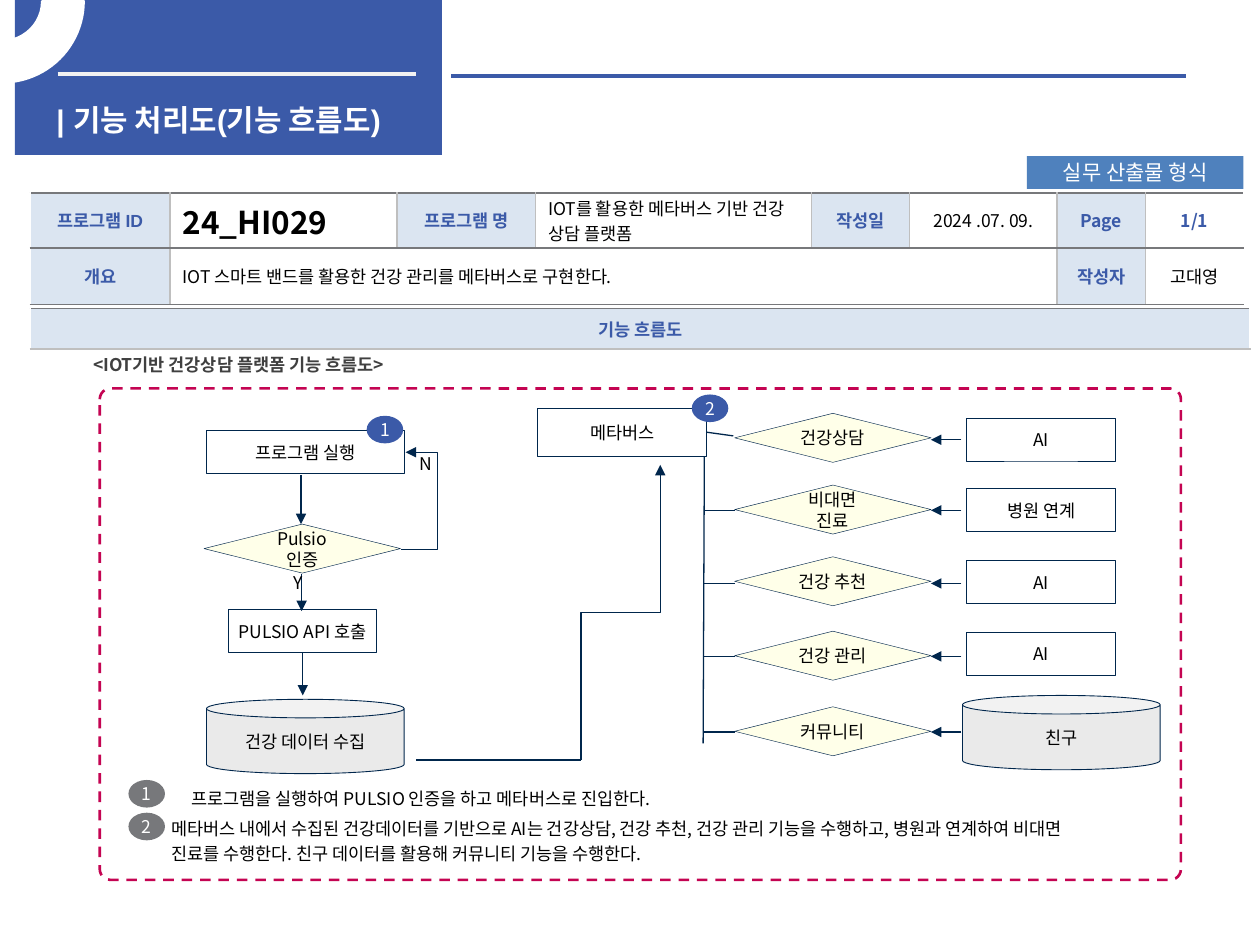
from lxml import etree
from pptx import Presentation
from pptx.dml.color import RGBColor
from pptx.enum import dml, shapes, text
from pptx.oxml import ns
from pptx.util import Pt

COLORS = {
    "blue": "3B5AA8", "tag": "4F81BD", "pale": "B9CDE5", "white": "FFFFFF",
    "rule": "F2F2F2", "navy": "00264C", "cream": "FFFFE9", "can": "EAEAEA",
    "grey": "77787B", "light": "BFBFBF", "dash": "C40452", "black": "000000",
    "caption": "404040",
}
FONT = "Noto Sans CJK KR"
SHAPE = shapes.MSO_SHAPE
LEFT, CENTER = text.PP_ALIGN.LEFT, text.PP_ALIGN.CENTER


def rgb(name):
    return RGBColor.from_string(COLORS[name])


def add_xml(parent, tag, **attributes):
    return etree.SubElement(parent, ns.qn(tag), attributes)


def write(frame, words, size=10, color="black", bold=False, align=CENTER, font=FONT, spacing=None):
    para = frame.paragraphs[0]
    para.alignment = align
    if spacing:
        para.line_spacing = spacing
    span = para.add_run()
    span.text = words
    span.font.size, span.font.bold, span.font.name = Pt(size), bold, font
    span.font.color.rgb = rgb(color)
    add_xml(span.font._element, "a:ea", typeface=FONT)


def add_text(page, box, words, wrap=True, **style):
    frame = page.shapes.add_textbox(*map(Pt, box)).text_frame
    frame.word_wrap = wrap
    write(frame, words, **style)


def add_node(page, kind, box, words=None, fill=None, line=None, width=0.5, inset=3, wrap=True, **style):
    node = page.shapes.add_shape(kind, *map(Pt, box))
    node.shadow.inherit = False
    if fill:
        node.fill.solid()
        node.fill.fore_color.rgb = rgb(fill)
    else:
        node.fill.background()
    if line:
        node.line.color.rgb = rgb(line)
        node.line.width = Pt(width)
    else:
        node.line.fill.background()
    if words:
        frame = node.text_frame
        frame.word_wrap = wrap
        frame.vertical_anchor = text.MSO_ANCHOR.MIDDLE
        frame.margin_left = frame.margin_right = Pt(inset)
        frame.margin_top = frame.margin_bottom = Pt(min(inset, 3.6))
        write(frame, words, **style)
    return node


def add_line(page, start, end, color="navy", width=0.75, arrow=False, kind=shapes.MSO_CONNECTOR.STRAIGHT):
    line = page.shapes.add_connector(kind, *map(Pt, start + end))
    line.line.color.rgb = rgb(color)
    line.line.width = Pt(width)
    if arrow:
        add_xml(line.line._get_or_add_ln(), "a:tailEnd", type="triangle")
    add_xml(line._element.spPr, "a:effectLst")
    return line


def add_loop(page, start, end, reach):
    """Elbow arrow that swings out to the right by reach before it returns."""
    loop = add_line(page, start, end, arrow=True, kind=shapes.MSO_CONNECTOR.ELBOW)
    guides = loop._element.spPr.find(ns.qn("a:prstGeom")).get_or_add_avLst()
    ratio = round(reach / (end[0] - start[0]) * 100000)
    add_xml(guides, "a:gd", name="adj1", fmla=f"val {ratio}")


def add_riser(page, start, end):
    """Elbow arrow that leaves and arrives upright: a flat elbow turned by 90 degrees."""
    middle_x, middle_y = (start[0] + end[0]) / 2, (start[1] + end[1]) / 2
    half_width, half_height = (start[1] - end[1]) / 2, (end[0] - start[0]) / 2
    riser = add_line(page, (middle_x + half_width, middle_y + half_height),
                     (middle_x - half_width, middle_y - half_height),
                     arrow=True, kind=shapes.MSO_CONNECTOR.ELBOW)
    riser._element.spPr.find(ns.qn("a:xfrm")).set("rot", "5400000")


def add_badge(page, left, top, number, fill="blue"):
    add_node(page, SHAPE.OVAL, (left, top, 20.9, 15.8), number, fill=fill,
             inset=4.3, wrap=False, color="white")


def style_cell(cell, borders, tinted=False):
    """Set fill and borders, given as left, right, top and bottom colours."""
    cell.vertical_anchor = text.MSO_ANCHOR.MIDDLE
    cell.margin_top = cell.margin_bottom = Pt(0.9)
    if tinted:
        cell.fill.solid()
        cell.fill.fore_color.rgb = rgb("pale")
        add_xml(cell._tc.tcPr.find(".//" + ns.qn("a:srgbClr")), "a:alpha", val="50000")
    else:
        cell.fill.background()
    for place, (side, color) in enumerate(zip("LRTB", borders)):
        edge = etree.Element(ns.qn(f"a:ln{side}"), w=str(Pt(1)))
        add_xml(add_xml(edge, "a:solidFill"), "a:srgbClr", val=COLORS[color])
        cell._tc.tcPr.insert(place, edge)


def add_grid(page, left, top, widths, heights):
    box = (left, top, sum(widths), sum(heights))
    grid = page.shapes.add_table(len(heights), len(widths), *map(Pt, box)).table
    grid.first_row = grid.horz_banding = False
    for column, width in zip(grid.columns, widths):
        column.width = Pt(width)
    for row, height in zip(grid.rows, heights):
        row.height = Pt(height)
    return grid


def header(page, left, top):
    add_node(page, SHAPE.RECTANGLE, (left, top, 244, 88.6), fill="blue")
    add_line(page, (left + 24.4, top + 42.5), (left + 229, top + 42.5), "rule", 2.25)
    add_line(page, (left + 249.2, top + 43.2), (left + 668.9, top + 43.2), "blue", 2.25)
    add_text(page, (left + 16.6, top + 54.7, 221, 23), "| 기능 처리도(기능 흐름도)",
             size=17, color="white", bold=True, align=LEFT, font="Arial")
    ring = add_node(page, SHAPE.BLOCK_ARC, (left - 54, top - 45.4, 92.9, 92.2),
                    fill="white", line="white", width=2)
    ring.adjustments[0], ring.adjustments[1], ring.adjustments[2] = 0, 119.05, 0.25
    add_node(page, SHAPE.RECTANGLE, (left + 578.2, top + 89.3, 123.8, 18.7), "실무 산출물 형식",
             fill="tag", inset=7.2, size=12, color="white")


def program_table(page, left, top):
    label = dict(color="blue", bold=True)
    plain = dict(align=LEFT)
    rows = [
        [("프로그램 ID", dict(label, font="Arial")), ("24_HI029", dict(size=18, bold=True, align=LEFT)),
         ("프로그램 명", label), ("IOT를 활용한 메타버스 기반 건강 상담 플랫폼", plain),
         ("작성일", label), ("2024 .07. 09.", {}), ("Page", label), ("1/1", label)],
        [("개요", dict(label, font="Arial")), ("IOT 스마트 밴드를 활용한 건강 관리를 메타버스로 구현한다.", plain),
         None, None, None, None, ("작성자", label), ("고대영", {})],
    ]
    grid = add_grid(page, left, top, [79.9, 129.6, 79.2, 157.7, 56.2, 84.2, 50.4, 56.2], [31.4, 32.4])
    grid.cell(1, 1).merge(grid.cell(1, 5))
    for r, row in enumerate(rows):
        for c, entry in enumerate(row):
            cell = grid.cell(r, c)
            borders = ("light" if c else "white", "light" if c < 7 else "white", "grey", "grey")
            style_cell(cell, borders, tinted=c % 2 == 0 and entry is not None)
            if entry:
                write(cell.text_frame, entry[0], **entry[1])


def flow_table(page, left, top):
    grid = add_grid(page, left, top, [697], [23, 308.2])
    style_cell(grid.cell(0, 0), ("white", "white", "grey", "light"), tinted=True)
    write(grid.cell(0, 0).text_frame, "기능 흐름도", color="blue", bold=True)
    style_cell(grid.cell(1, 0), ("white", "white", "light", "white"))
    add_text(page, (left + 28.8, top + 20.2, 391, 20.2), "<IOT기반 건강상담 플랫폼 기능 흐름도>",
             color="caption", bold=True, align=LEFT, spacing=1.2)


def flow_frame(page, box):
    frame = add_node(page, SHAPE.ROUNDED_RECTANGLE, box, line="dash", width=1.5)
    frame.adjustments[0] = 0.022
    frame.line.dash_style = dml.MSO_LINE.DASH


def add_step(page, box, words):
    add_node(page, SHAPE.RECTANGLE, box, words, line="navy")


def add_store(page, left, top, words):
    add_node(page, SHAPE.CAN, (left, top, 113, 42.5), words, fill="can", line="navy")


def add_decision(page, left, top, words):
    add_node(page, SHAPE.FLOWCHART_DECISION, (left, top, 112.3, 28), words,
             fill="cream", line="navy", width=0.25, inset=7.2)


def login_flow(page, left, top):
    add_step(page, (left + 61, top + 24.2, 113, 24.5), "프로그램 실행")
    add_decision(page, left + 59.6, top + 77.5, "Pulsio 인증")
    add_step(page, (left + 73.3, top + 126.5, 85, 24.5), "PULSIO API 호출")
    add_store(page, left + 61, top + 177.6, "건강 데이터 수집")
    for x, start, end in [(115, 49.5, 77.5), (115.4, 106.3, 127.2), (116, 151, 175.4)]:
        add_line(page, (left + x, top + start), (left + x, top + end), arrow=True)
    add_loop(page, (left + 172, top + 91.9), (left + 174.8, top + 36.5), reach=20.8)
    for x, y, words in [(102.8, 101.3, "Y"), (175.6, 33.6, "N")]:
        add_text(page, (left + x, top + y, 21, 19.4), words, wrap=False)
    add_badge(page, left + 152.5, top + 15.6, "1")


def metaverse_flow(page, left, top):
    services = [  # words, top, arrow height, partner, partner top
        ("건강상담", 14.2, 29.3, "AI", 17),
        ("비대면 진료", 55.2, 69.6, "병원 연계", 57.4),
        ("건강 추천", 96.2, 111.4, "AI", 98.4),
        ("건강 관리", 138.7, 153.1, "AI", 139.4),
        ("커뮤니티", 181.9, 196.3, "친구", 175.4),
    ]
    add_step(page, (left + 250.4, top + 11.3, 96.5, 27.4), "메타버스")
    add_line(page, (left + 346.9, top + 25), (left + 362, top + 27.1))
    add_line(page, (left + 345.5, top + 38.6), (left + 344.8, top + 202.8))
    for row, (words, y, arrow_y, partner, partner_y) in enumerate(services):
        add_decision(page, left + 362.8, top + y, words)
        if row:
            add_line(page, (left + 345.5, top + arrow_y), (left + 362.8, top + arrow_y))
        add_line(page, (left + 492.3, top + arrow_y), (left + 475, top + arrow_y), arrow=True)
        if partner == "친구":
            add_store(page, left + 493, top + partner_y, partner)
        else:
            add_step(page, (left + 495.5, top + partner_y, 85, 24.5), partner)
    add_badge(page, left + 338.3, top + 3.4, "2")
    add_line(page, (left + 275, top + 212.3), (left + 180.6, top + 212.3))
    add_riser(page, (left + 275, top + 212.5), (left + 320.3, top + 43.7))


def notes(page, left, top):
    add_badge(page, left, top, "1", fill="grey")
    add_text(page, (left + 19.5, top - 1.5, 295.2, 21.6),
             "프로그램을 실행하여 PULSIO 인증을 하고 메타버스로 진입한다.", wrap=False, spacing=1.2)
    add_badge(page, left, top + 18.7, "2", fill="grey")
    add_text(page, (left + 17.3, top + 15.8, 532, 36),
             "메타버스 내에서 수집된 건강데이터를 기반으로 AI는 건강상담, 건강 추천, 건강 관리 기능을 수행하고, "
             "병원과 연계하여 비대면 진료를 수행한다. 친구 데이터를 활용해 커뮤니티 기능을 수행한다.",
             align=LEFT, spacing=1.2)


def main():
    deck = Presentation()
    deck.slide_width, deck.slide_height = Pt(720), Pt(540)
    page = deck.slides.add_slide(deck.slide_layouts[6])
    header(page, 8.6, 0)
    flow_table(page, 17.3, 176.4)
    program_table(page, 17.3, 110.2)
    flow_frame(page, (57, 222, 617.8, 280.8))
    login_flow(page, 57, 222)
    metaverse_flow(page, 57, 222)
    notes(page, 73.4, 445.7)
    deck.save("out.pptx")


if __name__ == "__main__":
    main()
